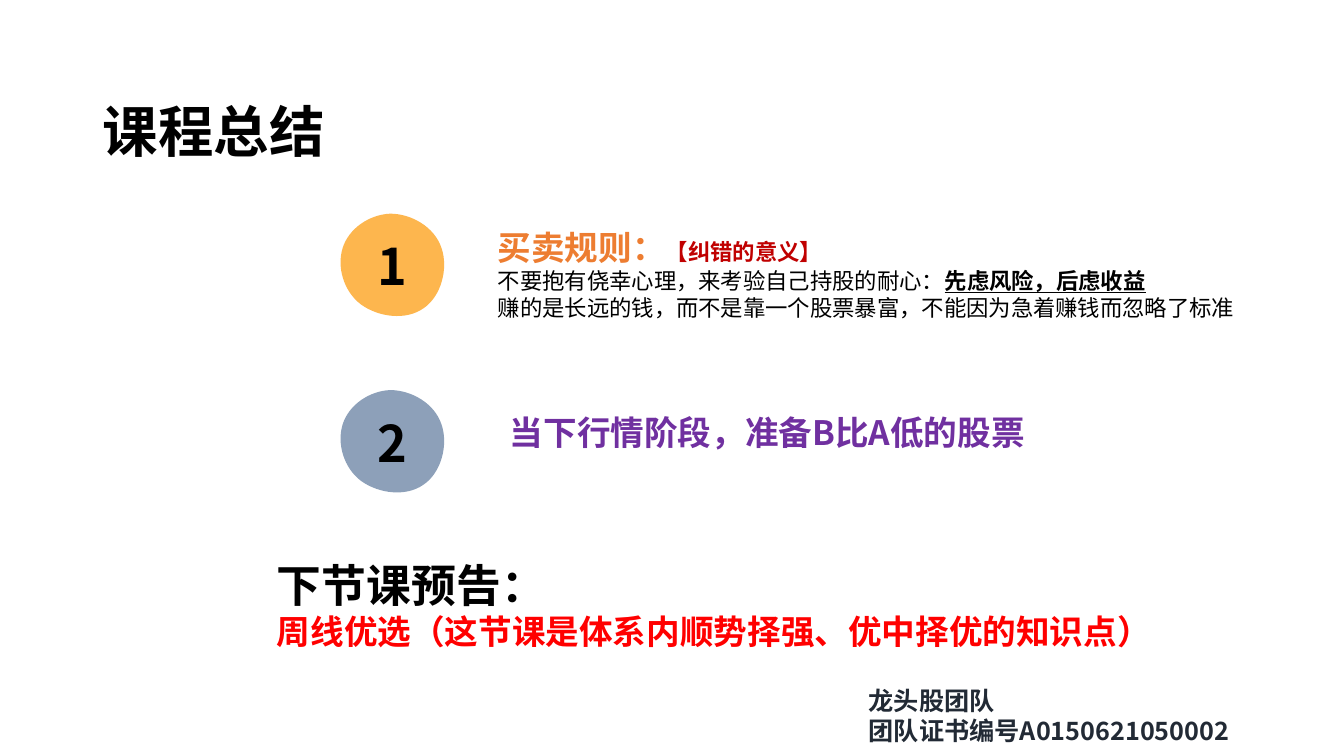
from dataclasses import dataclass

from lxml import etree
from pptx import Presentation
from pptx.dml.color import RGBColor
from pptx.enum.text import MSO_ANCHOR, MSO_AUTO_SIZE, PP_ALIGN
from pptx.oxml.ns import qn
from pptx.util import Inches, Pt

MIDDLE = MSO_ANCHOR.MIDDLE
CENTER, LEFT = PP_ALIGN.CENTER, PP_ALIGN.LEFT
NO_AUTOFIT = MSO_AUTO_SIZE.NONE


@dataclass(frozen=True)
class Theme:
    cjk: str = "Noto Sans CJK SC"
    latin: str = "Calibri"
    black: str = "000000"
    orange: str = "ED7D31"
    crimson: str = "C00000"
    red: str = "FF0000"
    purple: str = "7030A0"
    navy: str = "222A35"
    amber_fill: str = "FDB64E"
    blue_fill: str = "8DA0B9"
    title: float = 39.6
    number: float = 36
    preview: float = 32
    heading: float = 24
    signature: float = 18
    body: float = 16


THEME = Theme()


@dataclass(frozen=True)
class Phrase:
    text: str
    size: float
    color: str = THEME.black
    bold: bool = True
    underline: bool = False
    face: str = THEME.cjk
    break_after: bool = False


@dataclass(frozen=True)
class Passage:
    box: tuple[float, float, float, float]
    lines: tuple[tuple[Phrase, ...], ...]


@dataclass(frozen=True)
class Badge:
    number: str
    top: float
    fill: str


BADGE_LEFT, BADGE_WIDTH, BADGE_HEIGHT = 3.37, 1.04, 1.03
BADGE_START = (1.01, 0.34)
BADGE_CURVES = (
    ((1.08, 0.54), (1.01, 0.82), (0.83, 0.94)),
    ((0.66, 1.06), (0.39, 1.03), (0.21, 0.9)),
    ((0.04, 0.77), (-0.03, 0.53), (0.03, 0.34)),
    ((0.09, 0.15), (0.29, 0.01), (0.5, 0)),
    ((0.71, 0), (0.94, 0.13), BADGE_START),
)

TITLE = Phrase("课程总结", THEME.title, face=THEME.latin)
BADGES = (
    Badge("1", 2.12, THEME.amber_fill),
    Badge("2", 3.87, THEME.blue_fill),
)
PASSAGES = (
    Passage((4.84, 2.2, 7.81, 1.31), (
        (Phrase("买卖规则：", THEME.heading, THEME.orange),
         Phrase("【纠错的意义】", THEME.body, THEME.crimson)),
        (Phrase("不要抱有侥幸心理，来考验自己持股的耐心：", THEME.body, bold=False),
         Phrase("先虑风险，后虑收益", THEME.body, underline=True)),
        (Phrase("赚的是长远的钱，而不是靠一个股票暴富，不能因为急着赚钱而忽略了标准",
                THEME.body, bold=False),),
    )),
    Passage((4.96, 4.04, 5.81, 0.68), (
        (Phrase("当下行情阶段，准备B比A低的股票", THEME.heading, THEME.purple),),
    )),
    Passage((2.65, 5.48, 8.94, 1.14), (
        (Phrase("下节课预告：", THEME.preview, break_after=True),
         Phrase("周线优选（这节课是体系内顺势择强、优中择优的知识点）",
                THEME.heading, THEME.red)),
    )),
    Passage((8.52, 6.75, 3.96, 0.71), (
        (Phrase("龙头股团队", THEME.signature, THEME.navy),),
        (Phrase("团队证书编号A0150621050002", THEME.signature, THEME.navy),),
    )),
)


def write_phrase(paragraph, phrase: Phrase) -> None:
    run = paragraph.add_run()
    run.text = phrase.text
    formats = {
        "name": phrase.face,
        "size": Pt(phrase.size),
        "bold": phrase.bold,
        "underline": phrase.underline,
    }
    for attribute, value in formats.items():
        setattr(run.font, attribute, value)
    run.font.color.rgb = RGBColor.from_string(phrase.color)
    east_asian = etree.SubElement(run.font._element, qn("a:ea"))
    east_asian.set("typeface", THEME.cjk)
    if phrase.break_after:
        paragraph.add_line_break()


def add_title(slide, phrase: Phrase) -> None:
    heading = slide.shapes.title
    heading.left, heading.top = Inches(0.92), Inches(0.96)
    heading.width, heading.height = Inches(4.56), Inches(0.75)
    frame = heading.text_frame
    frame.auto_size = NO_AUTOFIT
    frame.vertical_anchor = MIDDLE
    paragraph = frame.paragraphs[0]
    paragraph.alignment = LEFT
    paragraph.line_spacing = 0.9
    write_phrase(paragraph, phrase)


def add_passage(slide, passage: Passage) -> None:
    frame = slide.shapes.add_textbox(*map(Inches, passage.box)).text_frame
    frame.word_wrap = True
    for index, line in enumerate(passage.lines):
        paragraph = frame.add_paragraph() if index else frame.paragraphs[0]
        for phrase in line:
            write_phrase(paragraph, phrase)


def curve_outline(blob) -> None:
    outline = blob._element.find(f".//{qn('a:path')}")
    for segment in list(outline):
        outline.remove(segment)
    segments = [("a:moveTo", (BADGE_START,))]
    segments += [("a:cubicBezTo", curve) for curve in BADGE_CURVES]
    segments.append(("a:close", ()))
    for tag, points in segments:
        segment = etree.SubElement(outline, qn(tag))
        for x, y in points:
            etree.SubElement(segment, qn("a:pt"), x=str(Inches(x)), y=str(Inches(y)))


def add_badge(slide, badge: Badge) -> None:
    left, top = Inches(BADGE_LEFT), Inches(badge.top)
    right, bottom = left + Inches(BADGE_WIDTH), top + Inches(BADGE_HEIGHT)
    builder = slide.shapes.build_freeform(left, top)
    builder.add_line_segments([(right, top), (right, bottom), (left, bottom)])
    blob = builder.convert_to_shape()
    curve_outline(blob)
    blob.shadow.inherit = False
    blob.fill.solid()
    blob.fill.fore_color.rgb = RGBColor.from_string(badge.fill)
    blob.line.fill.background()
    frame = blob.text_frame
    frame.word_wrap = False
    frame.vertical_anchor = MIDDLE
    frame.paragraphs[0].alignment = CENTER
    write_phrase(frame.paragraphs[0], Phrase(badge.number, THEME.number))


def main() -> None:
    deck = Presentation()
    deck.slide_width, deck.slide_height = Inches(40 / 3), Inches(7.5)
    slide = deck.slides.add_slide(deck.slide_layouts[5])
    add_title(slide, TITLE)
    for badge in BADGES:
        add_badge(slide, badge)
    for passage in PASSAGES:
        add_passage(slide, passage)
    deck.save("out.pptx")


if __name__ == "__main__":
    main()
